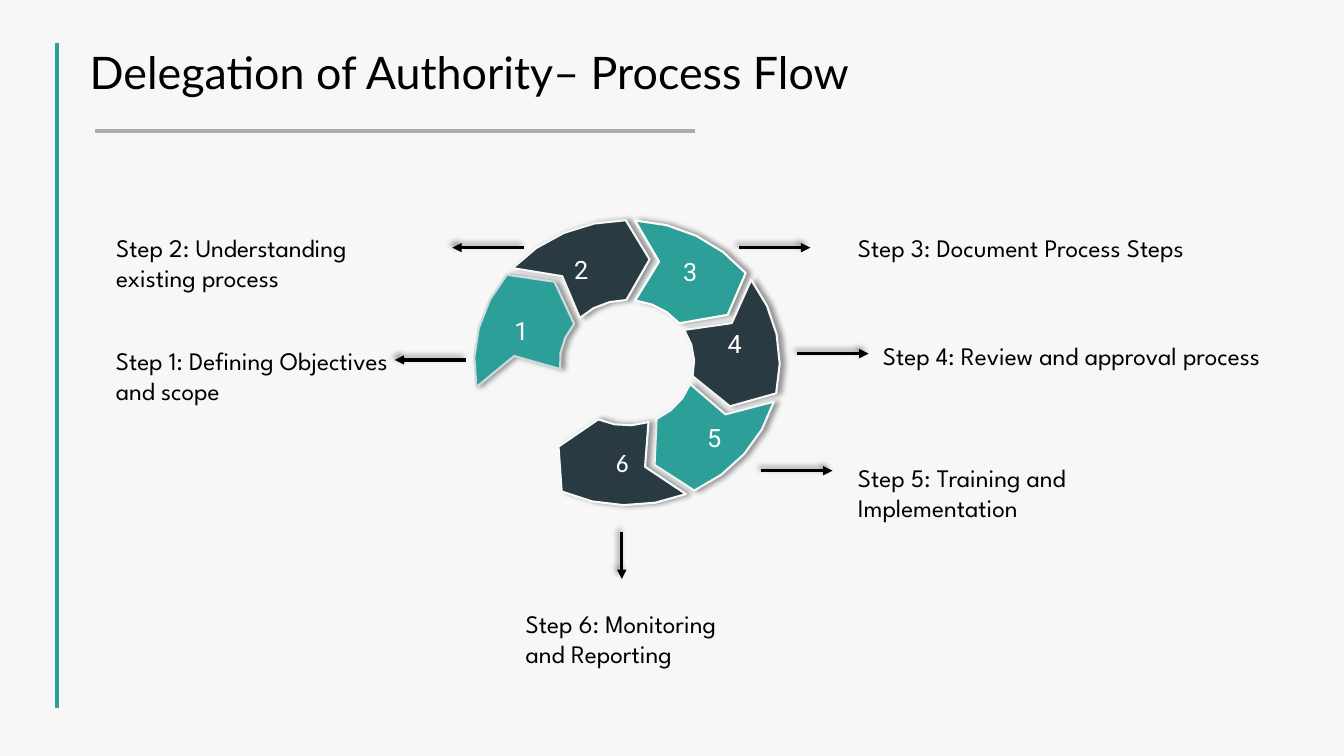
from dataclasses import dataclass
from math import cos, radians, sin

from lxml import etree
from pptx import Presentation
from pptx import util as u
from pptx.dml.color import RGBColor
from pptx.enum import shapes, text
from pptx.oxml.ns import qn


@dataclass(frozen=True)
class Theme:
    background: str = "F7F7F7"
    teal: str = "2C9F98"
    navy: str = "293A42"
    grey: str = "AFABAB"
    black: str = "000000"
    white: str = "FFFFFF"
    mist: str = "CFD9E0"
    pale: str = "F8FAFB"
    title_size: float = 32
    body_size: float = 18
    title_font: str = "Lato"
    step_font: str = "League Spartan"
    number_font: str = "Roboto"
    last_number_font: str = "Calibri"


THEME = Theme()


@dataclass(frozen=True)
class Step:
    wording: str
    label: tuple[float, float, float, float]  # left, top, width, height in cm
    arrow_start: tuple[float, float]
    arrow_reach: tuple[float, float]
    fill: str
    rim: str
    number_font: str = THEME.number_font
    number_shift: float = 0


LEFT, RIGHT, DOWN = (-1.8, 0), (1.8, 0), (0, 1.19)
STEPS = [
    Step("Step 1: Defining Objectives and scope", (2.67, 8.56, 7.82, 1.8),
         (11.75, 9.07), LEFT, THEME.teal, THEME.mist, number_shift=-0.07),
    Step("Step 2: Understanding existing process", (2.68, 5.72, 7.82, 1.8),
         (13.2, 6.24), LEFT, THEME.navy, THEME.background),
    Step("Step 3: Document Process Steps", (21.37, 5.72, 10.24, 1.02),
         (18.62, 6.24), RIGHT, THEME.teal, THEME.white),
    Step("Step 4: Review and approval process", (22, 8.45, 11.8, 1.02),
         (20.09, 8.91), RIGHT, THEME.navy, THEME.background, number_shift=0.07),
    Step("Step 5: Training and Implementation", (21.37, 11.51, 9.42, 1.8),
         (19.18, 11.86), RIGHT, THEME.teal, THEME.background),
    Step("Step 6: Monitoring and Reporting", (13, 15.19, 5.79, 1.8),
         (15.67, 13.4), DOWN, THEME.navy, THEME.pale, THEME.last_number_font),
]

# Ring: seven equal places, six of them filled; step 3 starts at the top
RING_CENTRE = (15.8, 9.14)
RING_RADII = (3.85, 3.59)
PLACE_ANGLE = 360 / 7
TOP_STEP = 2
INNER, MIDDLE = 0.44, 0.74  # shares of the outer radius
OUTER_CHORDS, INNER_CHORDS = 4, 3


def rgb(colour: str) -> RGBColor:
    return RGBColor.from_string(colour)


def write(frame, wording: str, *, font: str, size: float = THEME.body_size,
          colour: str = THEME.black, align=text.PP_ALIGN.LEFT,
          anchor=text.MSO_ANCHOR.TOP, spacing: float | None = None,
          inset: float = 0.13, shift: float = 0) -> None:
    frame.word_wrap = True
    frame.vertical_anchor = anchor
    frame.margin_left = u.Cm(0.25 + shift)
    frame.margin_right = u.Cm(0.25 - shift)
    frame.margin_top = frame.margin_bottom = u.Cm(inset)
    paragraph = frame.paragraphs[0]
    paragraph.alignment = align
    paragraph.line_spacing = spacing
    run = paragraph.add_run()
    run.text = wording
    run.font.name = font
    run.font.size = u.Pt(size)
    run.font.color.rgb = rgb(colour)


def set_shadow(item, direction: int | None = None) -> None:
    """Give the item a soft shadow, or none without a direction."""
    effects = etree.SubElement(item.element.spPr, qn("a:effectLst"))
    if direction is None:
        return
    shadow = etree.SubElement(
        effects, qn("a:outerShdw"), blurRad=str(u.Pt(4)), dist=str(u.Pt(3)),
        dir=str(direction * 60000), algn="ctr", rotWithShape="0")
    colour = etree.SubElement(shadow, qn("a:srgbClr"), val=THEME.black)
    etree.SubElement(colour, qn("a:alpha"), val="40000")


def add_line(slide, start: tuple[float, float], end: tuple[float, float],
             colour: str, width: float, arrow: bool = False) -> None:
    line = slide.shapes.add_connector(
        shapes.MSO_CONNECTOR.STRAIGHT, *(u.Cm(v) for v in (*start, *end)))
    line.line.color.rgb = rgb(colour)
    line.line.width = u.Pt(width)
    if arrow:
        outline = line.element.spPr.find(qn("a:ln"))
        etree.SubElement(outline, qn("a:tailEnd"), type="triangle")
    set_shadow(line, 225 if arrow else None)


def add_label(slide, box: tuple[float, float, float, float], wording: str,
              **text_format) -> None:
    label = slide.shapes.add_textbox(*(u.Cm(v) for v in box))
    write(label.text_frame, wording, **text_format)


def ring_point(angle: float, share: float) -> tuple[int, int]:
    """Point at a clockwise angle from the top of the ring."""
    return (u.Cm(RING_CENTRE[0] + RING_RADII[0] * share * sin(radians(angle))),
            u.Cm(RING_CENTRE[1] - RING_RADII[1] * share * cos(radians(angle))))


def ring_arc(first: float, last: float, share: float,
             chords: int) -> list[tuple[int, int]]:
    return [ring_point(first + (last - first) * i / chords, share)
            for i in range(chords + 1)]


def add_segment(slide, place: int, step: Step) -> None:
    turn = (place - TOP_STEP) * PLACE_ANGLE
    outline = [*ring_arc(turn + 3, turn + 51, 1, OUTER_CHORDS),
               ring_point(turn + 63, MIDDLE),
               *ring_arc(turn + 51, turn + 7, INNER, INNER_CHORDS),
               ring_point(turn + 16.5, MIDDLE)]
    builder = slide.shapes.build_freeform(*outline[0])
    builder.add_line_segments(outline[1:], close=True)
    segment = builder.convert_to_shape()
    segment.fill.solid()
    segment.fill.fore_color.rgb = rgb(step.fill)
    segment.line.color.rgb = rgb(step.rim)
    segment.line.width = u.Pt(1.5)
    set_shadow(segment, 0)
    write(segment.text_frame, str(place + 1), font=step.number_font,
          colour=THEME.white, align=text.PP_ALIGN.CENTER,
          anchor=text.MSO_ANCHOR.MIDDLE, inset=0.25, shift=step.number_shift)


def main() -> None:
    deck = Presentation()
    deck.slide_width, deck.slide_height = u.Cm(33.87), u.Cm(19.05)
    slide = deck.slides.add_slide(deck.slide_layouts[6])
    slide.background.fill.solid()
    slide.background.fill.fore_color.rgb = rgb(THEME.background)

    # Title with side bar and underline
    add_line(slide, (1.44, 1.09), (1.44, 17.84), THEME.teal, 3.25)
    add_label(slide, (2.01, 1.02, 24.71, 2.57),
              "Delegation of Authority– Process Flow", font=THEME.title_font,
              size=THEME.title_size, spacing=0.9, inset=0.25)
    add_line(slide, (2.39, 3.3), (17.51, 3.3), THEME.grey, 3)

    # Ring segments, arrows and step labels
    for place, step in enumerate(STEPS):
        add_segment(slide, place, step)
        (x, y), (dx, dy) = step.arrow_start, step.arrow_reach
        add_line(slide, (x, y), (x + dx, y + dy), THEME.black, 2.25, arrow=True)
        add_label(slide, step.label, step.wording, font=THEME.step_font)

    deck.save("out.pptx")


if __name__ == "__main__":
    main()
